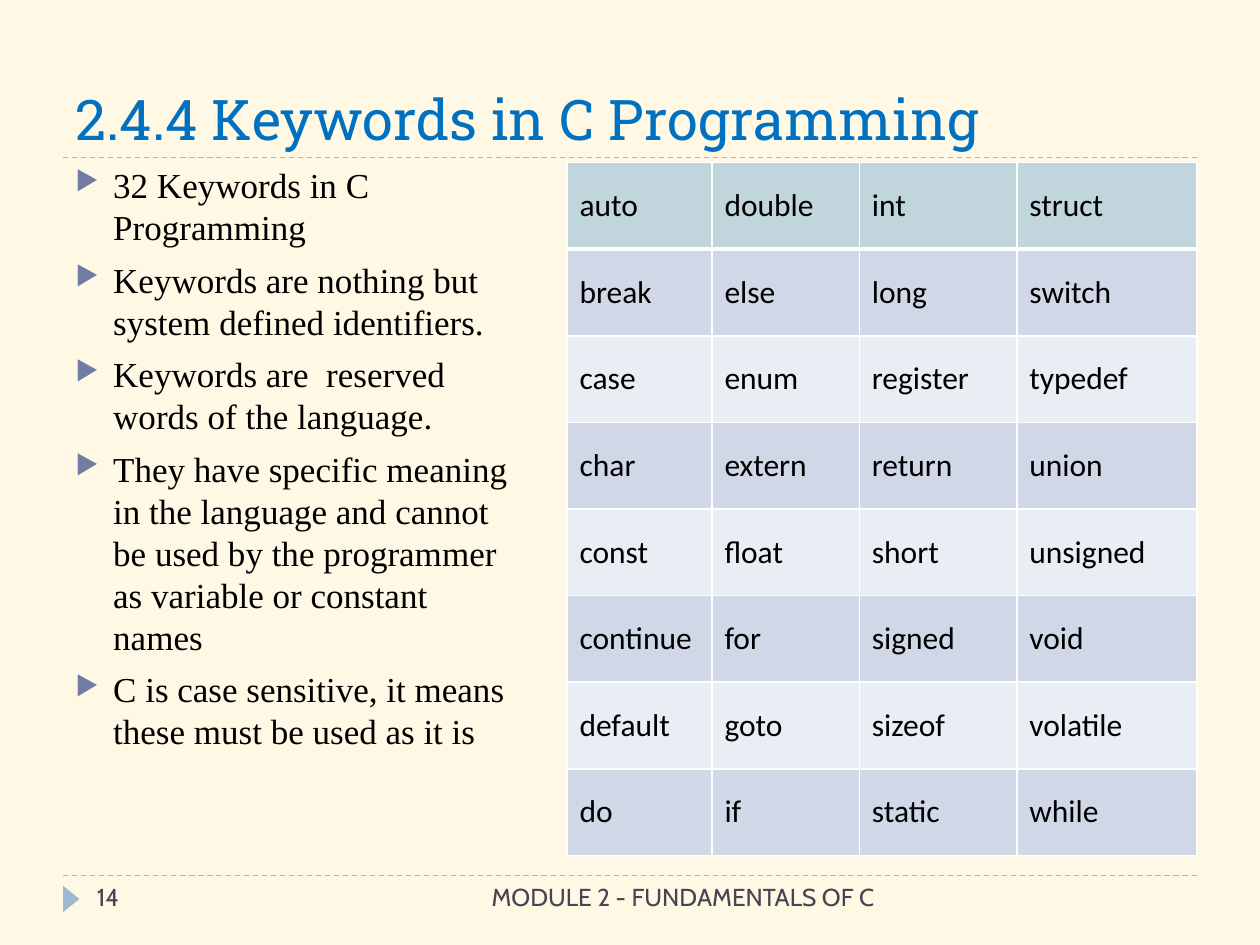
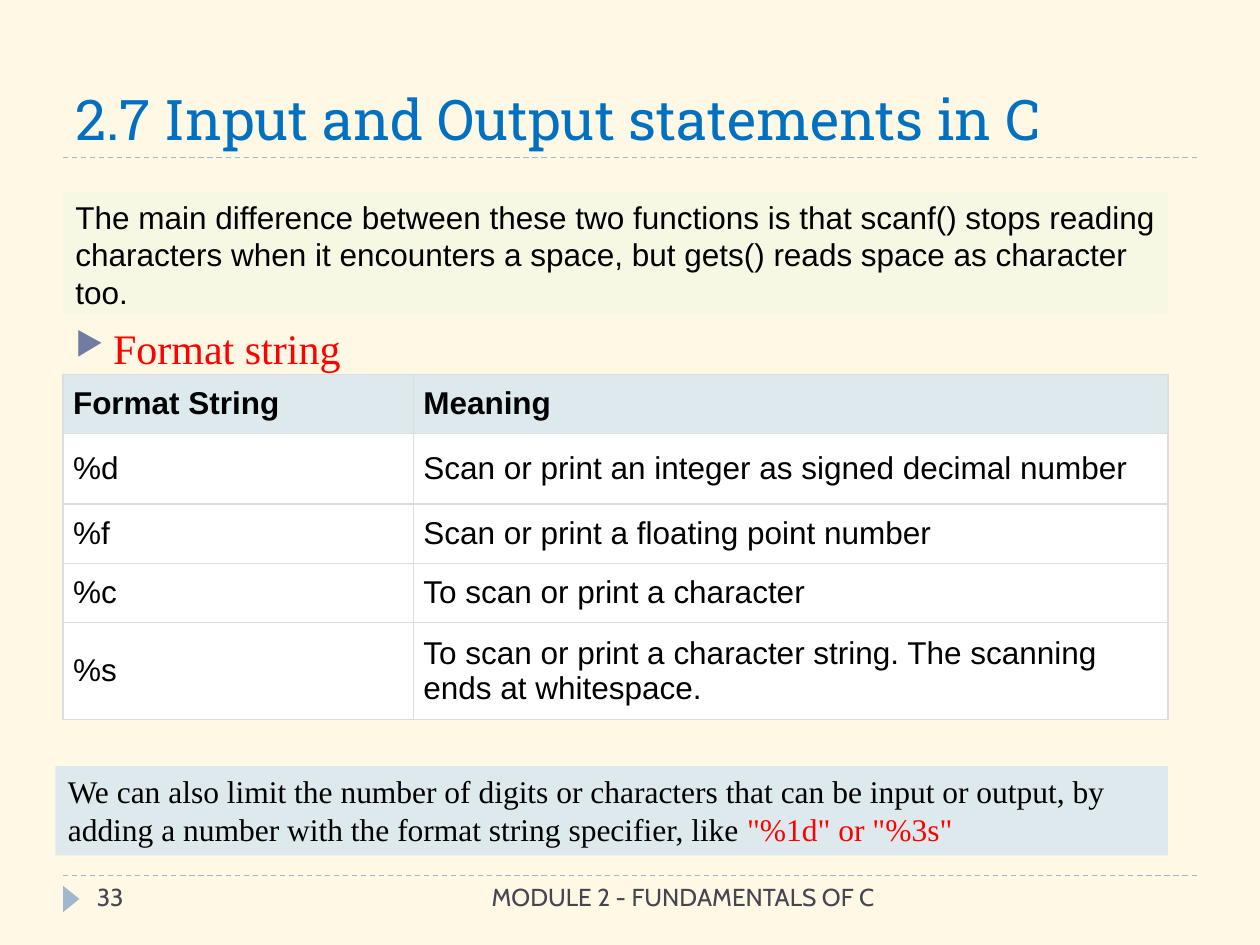
from lxml import etree
from pptx import Presentation
from pptx import util as u
from pptx.dml.color import RGBColor
from pptx.enum import dml, shapes, text
from pptx.oxml import ns

COLORS = {
    "background": "FEF8E4", "rule": "9FB8CD", "title": "0070C0", "footer": "464653",
    "body": "000000", "accent": "FF0000", "bullet": "727CA3", "white": "FFFFFF",
    "keyword_head": "C0D6DC", "band_dark": "D0D8E8", "band_light": "E9EDF4",
    "pale_blue": "DDE9EC", "pale_green": "F6F8E4", "grid": "DDDDDD",
}
SERIF, SANS = "Times New Roman", "Arial"


def rgb(name):
    return RGBColor.from_string(COLORS[name])


def inches(*lengths):
    return [u.Inches(length) for length in lengths]


def add_xml(parent, tag, **attributes):
    return etree.SubElement(parent, ns.qn(tag), attributes)


class Deck:
    def __init__(self):
        self.presentation = Presentation()
        self.presentation.slide_width, self.presentation.slide_height = inches(10, 7.5)
        self.slide = None

    def start_slide(self, title, number):
        self.slide = self.presentation.slides.add_slide(self.presentation.slide_layouts[6])
        background = self.slide.background.fill
        background.solid()
        background.fore_color.rgb = rgb("background")
        for y in (6.95, 1.25):
            self.rule(y)
        self.marker()
        self.text((0.5, 0.17, 9, 1.08), [title], "Roboto Slab", 32, "title",
                  anchor=text.MSO_ANCHOR.BOTTOM)
        self.text((3.17, 6.95, 3.87, 0.4), ["MODULE 2 - FUNDAMENTALS OF C"], "Cabin", 14,
                  "footer", align=text.PP_ALIGN.RIGHT)
        self.text((0.67, 6.95, 2.17, 0.4), [str(number)], "Cabin", 14, "footer")

    def rule(self, y):
        line = self.slide.shapes.add_connector(
            shapes.MSO_CONNECTOR.STRAIGHT, *inches(0.5, y, 9.5, y))
        line.line.color.rgb = rgb("rule")
        line.line.width = u.Pt(0.75)
        line.line.dash_style = dml.MSO_LINE.DASH
        add_xml(line._element.spPr, "a:effectLst")

    def block(self, kind, box, color):
        shape = self.slide.shapes.add_shape(kind, *inches(*box))
        shape.shadow.inherit = False
        shape.fill.solid()
        shape.fill.fore_color.rgb = rgb(color)
        shape.line.fill.background()
        return shape

    def marker(self):
        self.block(shapes.MSO_SHAPE.ISOSCELES_TRIANGLE, (0.46, 7.07, 0.21, 0.13),
                   "rule").rotation = 90

    def style(self, paragraph, font, size, color, bold=False):
        paragraph.font.name = font
        paragraph.font.size = u.Pt(size)
        paragraph.font.bold = bold
        paragraph.font.color.rgb = rgb(color)

    def bullet(self, paragraph):
        properties = paragraph._p.get_or_add_pPr()
        indent = u.Inches(0.3)
        properties.set("marL", str(indent))
        properties.set("indent", str(-indent))
        add_xml(add_xml(properties, "a:buClr"), "a:srgbClr", val=COLORS["bullet"])
        add_xml(properties, "a:buSzPct", val="76000")
        add_xml(properties, "a:buChar", char="▶")

    def text(self, box, lines, font, size, color, bulleted=False,
             align=text.PP_ALIGN.LEFT, anchor=text.MSO_ANCHOR.TOP):
        frame = self.slide.shapes.add_textbox(*inches(*box)).text_frame
        frame.word_wrap = True
        frame.vertical_anchor = anchor
        for index, line in enumerate(lines):
            paragraph = frame.add_paragraph() if index else frame.paragraphs[0]
            paragraph.text = line
            paragraph.alignment = align
            if index:
                paragraph.space_before = u.Pt(6)
            if bulleted:
                self.bullet(paragraph)
            self.style(paragraph, font, size, color)

    def note(self, box, fill, font, message, highlight=""):
        frame = self.block(shapes.MSO_SHAPE.RECTANGLE, box, fill).text_frame
        frame.word_wrap = True
        frame.vertical_anchor = text.MSO_ANCHOR.TOP
        paragraph = frame.paragraphs[0]
        paragraph.alignment = text.PP_ALIGN.LEFT
        self.style(paragraph, font, 18, "body")
        for words, color in ((message, "body"), (highlight, "accent")):
            if words:
                run = paragraph.add_run()
                run.text = words
                run.font.color.rgb = rgb(color)

    def borders(self, cell, color, widths):
        properties = cell._tc.get_or_add_tcPr()
        for side, width in zip("LRTB", widths):
            line = add_xml(properties, f"a:ln{side}", w=str(u.Pt(width)))
            add_xml(add_xml(line, "a:solidFill"), "a:srgbClr", val=COLORS[color])

    def table(self, left, top, columns, heights, rows, font, head, bands, grid,
              line=1, head_line=1, bold_head=False, margin=None):
        table = self.slide.shapes.add_table(
            len(rows), len(columns),
            *inches(left, top, sum(columns), sum(heights))).table
        table.first_row = table.horz_banding = False
        for column, width in zip(table.columns, columns):
            column.width = u.Inches(width)
        for index, (row, height, words) in enumerate(zip(table.rows, heights, rows)):
            row.height = u.Inches(height)
            above = head_line if index == 1 else line
            below = head_line if index == 0 else line
            fill = bands[(index - 1) % len(bands)] if index else head
            for cell, word in zip(row.cells, words):
                self.borders(cell, grid, (line, line, above, below))
                cell.fill.solid()
                cell.fill.fore_color.rgb = rgb(fill)
                cell.vertical_anchor = text.MSO_ANCHOR.MIDDLE
                if margin:
                    cell.margin_left = cell.margin_right = u.Inches(margin)
                    cell.margin_top = cell.margin_bottom = u.Inches(margin)
                cell.text = word
                self.style(cell.text_frame.paragraphs[0], font, 18, "body",
                           bold_head and index == 0)


def keywords_slide(deck):
    deck.start_slide("2.4.4 Keywords in C Programming", 14)
    deck.text((0.5, 1.25, 3.75, 5.5), [
        "32 Keywords in C Programming",
        "Keywords are nothing but system defined identifiers.",
        "Keywords are  reserved words of the language.",
        "They have specific meaning in the language and cannot be used by the "
        "programmer as variable or constant names",
        "C is case sensitive, it means these must be used as it is",
    ], SERIF, 20, "body", bulleted=True)
    keywords = """auto double int struct
        break else long switch
        case enum register typedef
        char extern return union
        const float short unsigned
        continue for signed void
        default goto sizeof volatile
        do if static while"""
    rows = [line.split() for line in keywords.splitlines()]
    deck.table(4.5, 1.29, (1.15, 1.17, 1.25, 1.43), [5.5 / len(rows)] * len(rows), rows,
               "Calibri", "keyword_head", ("band_dark", "band_light"), "white", head_line=3)


def input_output_slide(deck):
    deck.start_slide("2.7 Input and Output statements in C", 33)
    deck.text((0.5, 2.51, 9, 0.45), ["Format string"], SERIF, 24, "accent", bulleted=True)
    deck.note((0.5, 1.52, 8.77, 0.97), "pale_green", SANS,
              "The main difference between these two functions is that scanf() stops "
              "reading characters when it encounters a space, but gets() reads space as "
              "character too.")
    deck.table(0.5, 2.97, (2.78, 5.99), (0.47, 0.56, 0.47, 0.47, 0.77), [
        ("Format String", "Meaning"),
        ("%d", "Scan or print an integer as signed decimal number"),
        ("%f", "Scan or print a floating point number"),
        ("%c", "To scan or print a character"),
        ("%s", "To scan or print a character string. The scanning ends at whitespace."),
    ], SANS, "pale_blue", ("white",), "grid", line=0.75, head_line=0.75,
        bold_head=True, margin=0.08)
    deck.note((0.44, 6.08, 8.83, 0.71), "pale_blue", SERIF,
              "We can also limit the number of digits or characters that can be input or "
              "output, by adding a number with the format string specifier, like ",
              '"%1d" or "%3s"')


def main():
    deck = Deck()
    keywords_slide(deck)
    input_output_slide(deck)
    deck.presentation.save("out.pptx")


if __name__ == "__main__":
    main()
